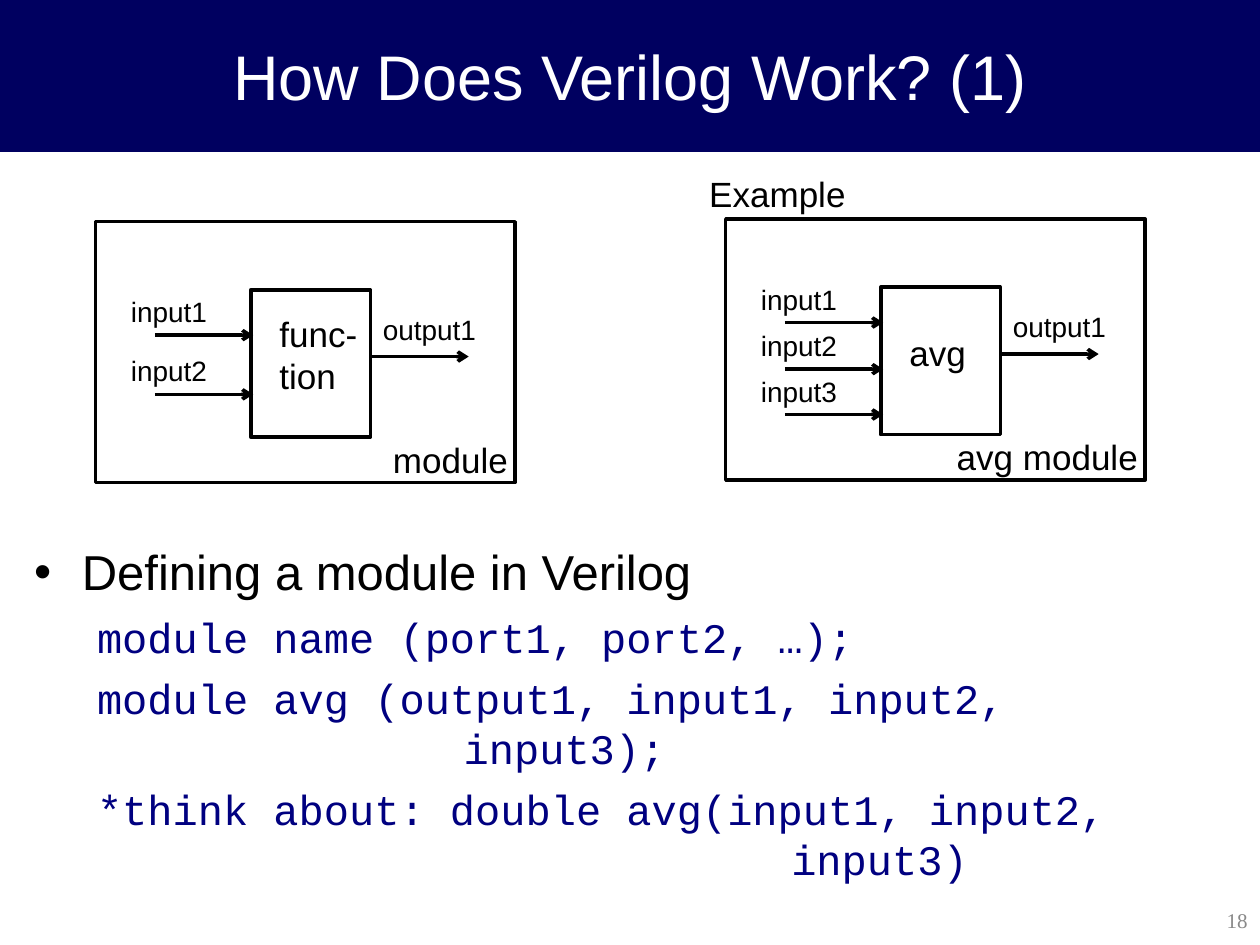
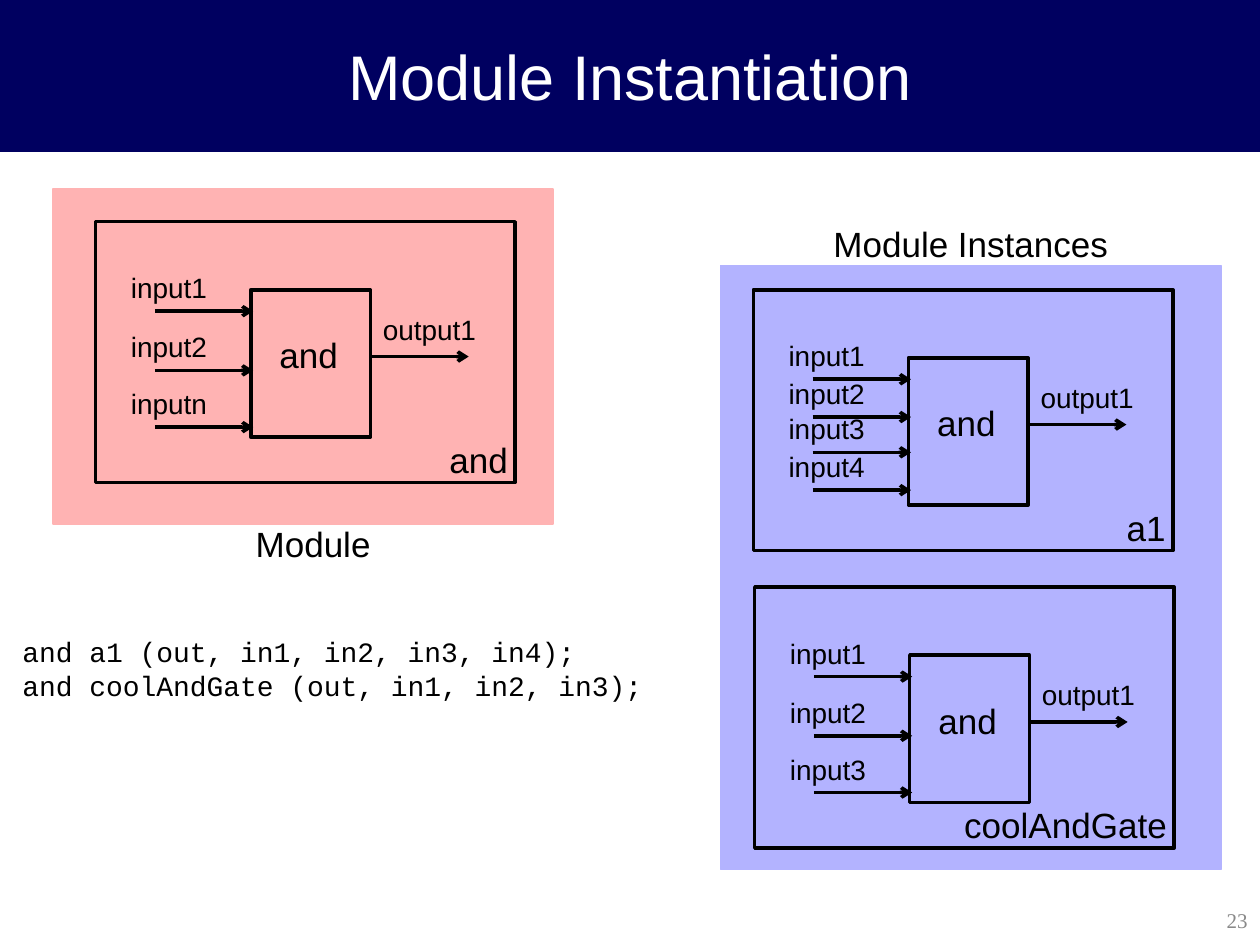
from dataclasses import dataclass

import lxml.etree
import pptx
import pptx.dml.color
import pptx.enum.shapes
import pptx.enum.text
import pptx.oxml.ns
import pptx.util

Inches = pptx.util.Inches
Pt = pptx.util.Pt
ALIGN = pptx.enum.text.PP_ALIGN
ANCHOR = pptx.enum.text.MSO_ANCHOR
RECTANGLE = pptx.enum.shapes.MSO_SHAPE.RECTANGLE


@dataclass(frozen=True)
class Theme:
    navy: str = "000060"
    code_blue: str = "000080"
    ink: str = "000000"
    white: str = "FFFFFF"
    grey: str = "898989"
    pink: str = "FFB3B3"
    lavender: str = "B3B3FF"
    sans: str = "Arial"
    mono: str = "Courier New"
    serif: str = "Times New Roman"
    title_size: int = 36
    bullet_size: int = 28
    code_size: int = 24
    label_size: int = 20
    port_size: int = 16
    number_size: int = 12
    outline: float = 2


THEME = Theme()
WIDTH, HEIGHT, BAND_HEIGHT = 10, 7.5, 1.2

# Module diagram, measured from the top left corner of its frame
FRAME_WIDTH, FRAME_HEIGHT = 3.33, 2.07
BODY_LEFT, BODY_TOP, BODY_WIDTH, BODY_HEIGHT = 1.23, 0.54, 0.95, 1.17
BODY_RIGHT = BODY_LEFT + BODY_WIDTH
ARROW_LENGTH = 0.78
OUTPUT_Y = 1.07
PORT_WIDTH, PORT_HEIGHT = 1.05, 0.37
LABEL_HEIGHT = 0.44
THREE_INPUTS = (0.71, 1.18, 1.63)


def rgb(color):
    return pptx.dml.color.RGBColor.from_string(color)


def style(paragraph, size, color=THEME.ink, font=THEME.sans, align=ALIGN.LEFT):
    paragraph.alignment = align
    paragraph.font.size = Pt(size)
    paragraph.font.name = font
    paragraph.font.color.rgb = rgb(color)


def place(shape, left, top, width, height):
    shape.left, shape.top = Inches(left), Inches(top)
    shape.width, shape.height = Inches(width), Inches(height)


def add_rectangle(slide, left, top, width, height, fill=None):
    """Draw a borderless panel, or a black outline when no fill is given."""
    shape = slide.shapes.add_shape(
        RECTANGLE, Inches(left), Inches(top), Inches(width), Inches(height))
    shape.shadow.inherit = False
    if fill:
        shape.fill.solid()
        shape.fill.fore_color.rgb = rgb(fill)
    else:
        shape.fill.background()
    shape.line.color.rgb = rgb(fill or THEME.ink)
    shape.line.width = Pt(0.75 if fill else THEME.outline)
    return shape


def add_text(slide, text, left, top, width, height, size=THEME.label_size,
             anchor=ANCHOR.TOP, wrap=True, **text_style):
    box = slide.shapes.add_textbox(
        Inches(left), Inches(top), Inches(width), Inches(height))
    frame = box.text_frame
    frame.word_wrap = wrap
    frame.vertical_anchor = anchor
    frame.text = text
    for paragraph in frame.paragraphs:
        style(paragraph, size, **text_style)


def add_arrow(slide, left, y):
    arrow = slide.shapes.add_connector(
        pptx.enum.shapes.MSO_CONNECTOR.STRAIGHT,
        Inches(left), Inches(y), Inches(left + ARROW_LENGTH), Inches(y))
    arrow.line.color.rgb = rgb(THEME.ink)
    arrow.line.width = Pt(THEME.outline)
    qn = pptx.oxml.ns.qn
    properties = arrow.element.spPr
    lxml.etree.SubElement(properties.find(qn("a:ln")), qn("a:tailEnd"), type="arrow")
    lxml.etree.SubElement(properties, qn("a:effectLst"))


def add_module(slide, left, top, function, name, inputs):
    """Draw a framed module; inputs maps each port name to its arrow's height."""
    add_rectangle(slide, left + BODY_LEFT, top + BODY_TOP, BODY_WIDTH, BODY_HEIGHT)
    add_text(slide, function, left + 1.36, top + 0.67, 0.97, 0.77,
             anchor=ANCHOR.MIDDLE)
    for port, y in inputs.items():
        add_arrow(slide, left + 0.47, top + y)
        add_text(slide, port, left + 0.18, top + y - PORT_HEIGHT,
                 PORT_WIDTH, PORT_HEIGHT, THEME.port_size)
    add_arrow(slide, left + BODY_RIGHT, top + OUTPUT_Y)
    add_text(slide, "output1", left + BODY_RIGHT, top + OUTPUT_Y - 0.4,
             PORT_WIDTH, PORT_HEIGHT, THEME.port_size)
    add_rectangle(slide, left, top, FRAME_WIDTH, FRAME_HEIGHT)
    name_width = 2
    add_text(slide, name, left + FRAME_WIDTH + 0.04 - name_width, top + 1.67,
             name_width, LABEL_HEIGHT, align=ALIGN.RIGHT)


def add_band_to_master(presentation, slide):
    """Draw the title band and move it behind everything on the slide master."""
    band = add_rectangle(slide, 0, 0, WIDTH, BAND_HEIGHT, THEME.navy)
    presentation.slide_master.element.cSld.spTree.insert(2, band.element)


def add_slide(presentation, layout_name, title, number):
    layout = presentation.slide_layouts.get_by_name(layout_name)
    slide = presentation.slides.add_slide(layout)
    heading = slide.shapes.title
    place(heading, 0, 0, WIDTH, BAND_HEIGHT)
    frame = heading.text_frame
    frame.text = title
    frame.auto_size = pptx.enum.text.MSO_AUTO_SIZE.NONE
    frame.vertical_anchor = ANCHOR.MIDDLE
    style(frame.paragraphs[0], THEME.title_size, THEME.white, align=ALIGN.CENTER)
    add_text(slide, str(number), 7.88, HEIGHT - 0.4, 2.12, 0.4, THEME.number_size,
             ANCHOR.MIDDLE, color=THEME.grey, font=THEME.serif, align=ALIGN.RIGHT)
    return slide


def fill_definition(body, bullet, code_lines):
    """Write a bullet and, below it, code given as (text, indent, space before)."""
    place(body, 0.17, 4.25, 9.66, 2.85)
    frame = body.text_frame
    frame.auto_size = pptx.enum.text.MSO_AUTO_SIZE.NONE
    frame.text = bullet
    heading = frame.paragraphs[0]
    properties = heading._p.get_or_add_pPr()
    properties.set("marL", str(Inches(0.38)))
    properties.set("indent", str(-Inches(0.38)))
    heading.space_before = Pt(0)
    style(heading, THEME.bullet_size)
    for text, indent, space_before in code_lines:
        paragraph = frame.add_paragraph()
        paragraph.text = text
        paragraph.level = 1
        properties = paragraph._p.get_or_add_pPr()
        properties.set("marL", str(Inches(indent)))
        properties.set("indent", "0")
        lxml.etree.SubElement(properties, pptx.oxml.ns.qn("a:buNone"))
        paragraph.space_before = Pt(space_before)
        style(paragraph, THEME.code_size, THEME.code_blue, THEME.mono)


def build_how_verilog_works(presentation):
    slide = add_slide(presentation, "Title and Content", "How Does Verilog Work? (1)", 18)
    add_band_to_master(presentation, slide)
    fill_definition(slide.placeholders[1], "Defining a module in Verilog", [
        ("module name (port1, port2, …);", 0.5, 6),
        ("module avg (output1, input1, input2,", 0.5, 6),
        ("input3);", 3.41, 0),
        ("*think about: double avg(input1, input2,", 0.5, 6),
        ("input3)", 6.01, 0),
    ])
    add_module(slide, 0.76, 1.76, "func-\vtion", "module",
               {"input1": 0.9, "input2": 1.37})
    add_module(slide, 5.76, 1.74, "avg", "avg module",
               {"input1": 0.82, "input2": 1.19, "input3": 1.55})
    add_text(slide, "Example", 5.53, 1.32, 1.49, LABEL_HEIGHT)


def build_module_instantiation(presentation):
    slide = add_slide(presentation, "Title Only", "Module Instantiation", 23)
    add_rectangle(slide, 5.72, 2.11, 3.97, 4.79, THEME.lavender)
    add_rectangle(slide, 0.42, 1.5, 3.97, 2.66, THEME.pink)
    add_module(slide, 0.76, 1.76, "and", "and",
               dict(zip(("input1", "input2", "inputn"), THREE_INPUTS)))
    add_module(slide, 5.98, 2.3, "and", "a1",
               {"input1": 0.71, "input2": 1.01, "input3": 1.29, "input4": 1.59})
    add_module(slide, 5.99, 4.66, "and", "coolAndGate",
               dict(zip(("input1", "input2", "input3"), THREE_INPUTS)))
    add_text(slide, "Module", 1.84, 4.1, 1.2, LABEL_HEIGHT, align=ALIGN.RIGHT)
    add_text(slide, "Module Instances", 6.29, 1.72, 2.83, LABEL_HEIGHT,
             align=ALIGN.CENTER)
    add_text(slide, "and a1 (out, in1, in2, in3, in4);\n"
             "and coolAndGate (out, in1, in2, in3);",
             0.08, 4.99, 5.5, 0.64, THEME.port_size, font=THEME.mono)


def main():
    presentation = pptx.Presentation()
    presentation.slide_width = Inches(WIDTH)
    presentation.slide_height = Inches(HEIGHT)
    build_how_verilog_works(presentation)
    build_module_instantiation(presentation)
    presentation.save("out.pptx")


if __name__ == "__main__":
    main()
